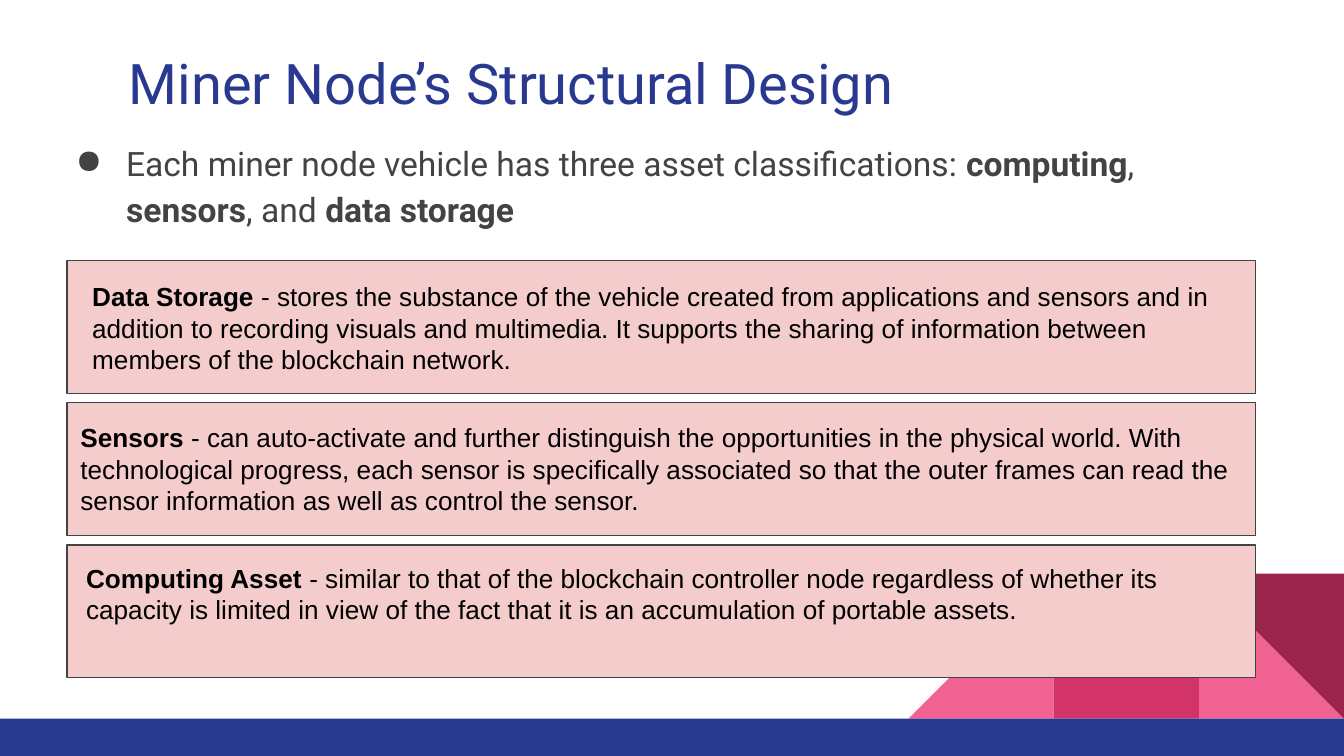
from lxml.etree import SubElement
from pptx import Presentation
from pptx.dml.color import RGBColor
from pptx.enum.shapes import MSO_SHAPE as Shape
from pptx.enum.text import MSO_ANCHOR as Anchor
from pptx.oxml.ns import qn
from pptx.util import Pt

COLORS = {
    "navy": "2A3990",
    "pink": "F06292",
    "rose": "D23369",
    "wine": "9C254D",
    "blush": "F4CCCC",
    "gray": "434343",
    "black": "000000",
}

deck = Presentation()
deck.slide_width, deck.slide_height = Pt(720), Pt(405)
slide = deck.slides.add_slide(deck.slide_layouts[6])


def add_block(kind, left, top, width, height, color):
    block = slide.shapes.add_shape(kind, Pt(left), Pt(top), Pt(width), Pt(height))
    block.shadow.inherit = False
    block.fill.solid()
    block.fill.fore_color.rgb = RGBColor.from_string(COLORS[color])
    block.line.fill.background()
    return block


def add_text(left, top, width, height, runs, font, size, color):
    frame = slide.shapes.add_textbox(Pt(left), Pt(top), Pt(width), Pt(height)).text_frame
    frame.word_wrap = True
    frame.vertical_anchor = Anchor.TOP
    frame.margin_left = frame.margin_right = Pt(7.2)
    frame.margin_top = frame.margin_bottom = Pt(7.2)
    paragraph = frame.paragraphs[0]
    for words, bold in runs:
        run = paragraph.add_run()
        run.text = words
        run.font.name = font
        run.font.size = Pt(size)
        run.font.bold = bold
        run.font.color.rgb = RGBColor.from_string(COLORS[color])
    return paragraph


tile = 77.75
floor = 385
tile_top = floor - tile
right_x, middle_x, left_x = [720 - tile * n for n in (1, 2, 3)]

add_block(Shape.RIGHT_TRIANGLE, right_x, tile_top, tile, tile, "pink")
left_slope = add_block(Shape.RIGHT_TRIANGLE, left_x, tile_top, tile, tile, "pink")
left_slope._element.spPr.find(qn("a:xfrm")).set("flipH", "1")
add_block(Shape.RECTANGLE, middle_x, tile_top, tile, tile, "rose")
add_block(Shape.RIGHT_TRIANGLE, right_x, tile_top, tile, tile, "wine").rotation = 180
add_block(Shape.RECTANGLE, 0, floor, 720, 20, "navy")

add_text(62, 18.7, 578, 47.5, [("Miner Node’s Structural Design", False)], "Roboto", 30, "navy")

summary = add_text(24.5, 66.2, 636.5, 300, [
    ("Each miner node vehicle has three asset classifications: ", False),
    ("computing", True),
    (", ", False),
    ("sensors", True),
    (", and ", False),
    ("data storage", True),
], "Roboto", 18, "gray")
summary.line_spacing = 1.15
bullet = summary._p.get_or_add_pPr()
bullet.set("marL", str(Pt(36)))
bullet.set("indent", str(Pt(-27)))
bullet_color = SubElement(bullet, qn("a:buClr"))
SubElement(bullet_color, qn("a:srgbClr")).set("val", COLORS["gray"])
SubElement(bullet, qn("a:buChar")).set("char", "●")

card_tops = [139.7 + 76.1 * n for n in range(3)]
for card_top in card_tops:
    card = add_block(Shape.RECTANGLE, 36, card_top, 636.5, 71.2, "blush")
    card.line.color.rgb = RGBColor.from_string(COLORS["gray"])
    card.line.width = Pt(0.75)

assets = [
    (42.3, 143.2, 624, "Data Storage ",
     "- stores the substance of the vehicle created from applications and sensors and in "
     "addition to recording visuals and multimedia. It supports the sharing of information "
     "between members of the blockchain network."),
    (36, 218.7, 636.5, "Sensors ",
     "- can auto-activate and further distinguish the opportunities in the physical world. "
     "With technological progress, each sensor is specifically associated so that the outer "
     "frames can read the sensor information as well as control the sensor."),
    (39, 293.9, 630, "Computing Asset ",
     "- similar to that of the blockchain controller node regardless of whether its capacity "
     "is limited in view of the fact that it is an accumulation of portable assets."),
]
for left, top, width, asset, description in assets:
    add_text(left, top, width, 67, [(asset, True), (description, False)], "Arial", 14, "black")

deck.save("out.pptx")
